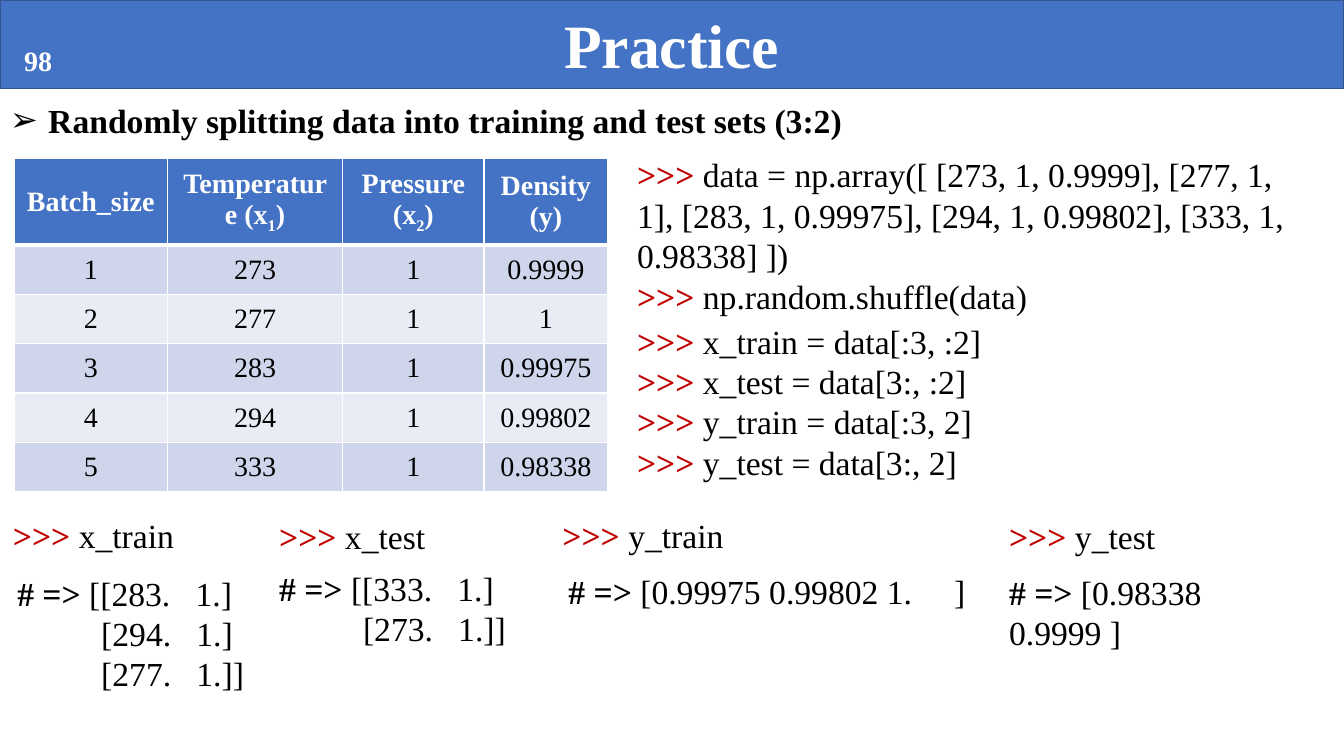
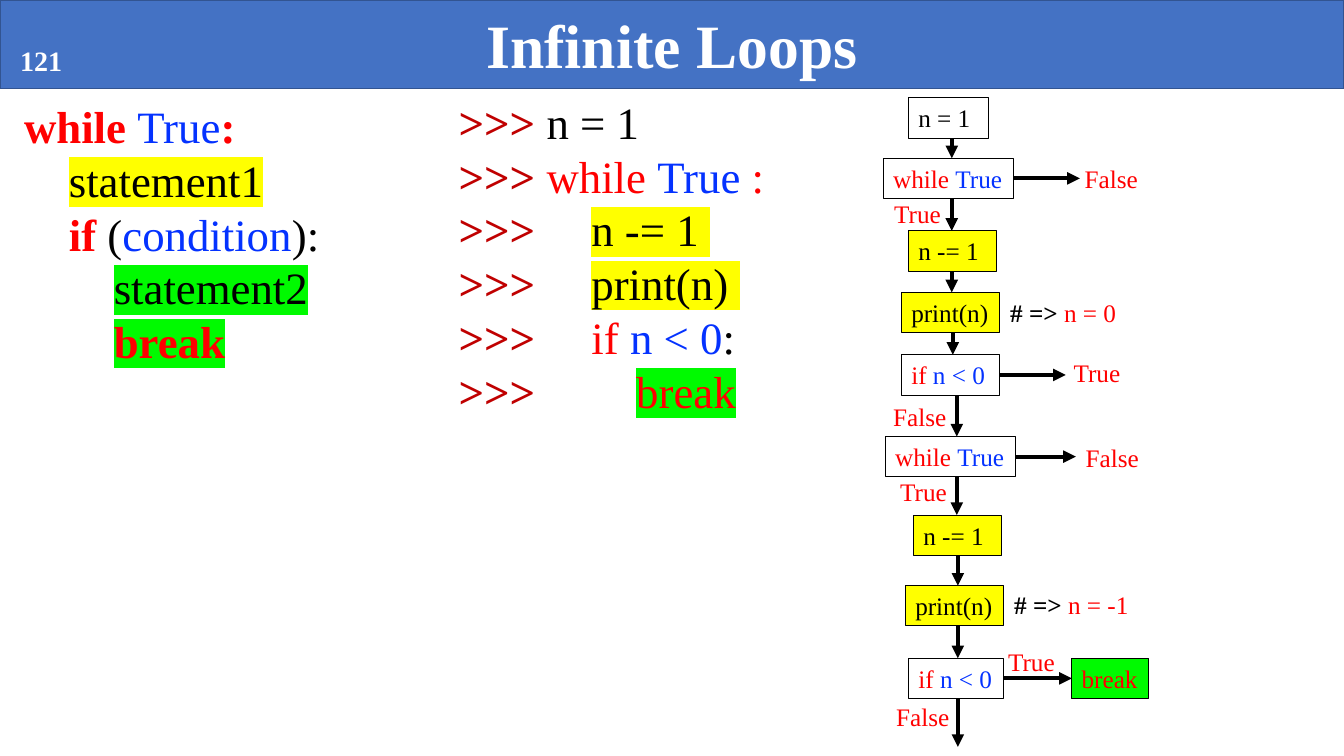
from collections import namedtuple

from lxml.etree import SubElement
from pptx import Presentation
from pptx.dml.color import RGBColor
from pptx.enum.shapes import MSO_CONNECTOR, MSO_SHAPE
from pptx.enum.text import MSO_ANCHOR, MSO_AUTO_SIZE, PP_ALIGN
from pptx.oxml.ns import qn
from pptx.util import Inches, Pt

FONT = "Times New Roman"
WHITE = RGBColor(0xFF, 0xFF, 0xFF)
BLACK = RGBColor(0x00, 0x00, 0x00)
BAND_BLUE = RGBColor(0x44, 0x72, 0xC4)
BAND_EDGE = RGBColor(0x32, 0x54, 0x91)
ROW_DARK = RGBColor(0xCF, 0xD5, 0xEA)
ROW_LIGHT = RGBColor(0xE9, 0xEB, 0xF5)
DARK_RED = RGBColor(0xC0, 0x00, 0x00)
RED = RGBColor(0xFF, 0x00, 0x00)
BLUE = RGBColor(0x04, 0x32, 0xFF)
YELLOW = RGBColor(0xFF, 0xFF, 0x00)
GREEN = RGBColor(0x00, 0xFA, 0x00)

Style = namedtuple("Style", "colour bold highlight baseline", defaults=(False, None, 0))
HEADING = Style(WHITE, True)
SUBSCRIPT = Style(WHITE, True, None, -25000)
PROMPT = Style(DARK_RED, True)
CODE = Style(BLACK)
STRONG = Style(BLACK, True)
KEYWORD = Style(RED)
STRONG_KEYWORD = Style(RED, True)
VALUE = Style(BLUE)
ON_YELLOW = Style(BLACK, False, YELLOW)
ON_GREEN = Style(BLACK, False, GREEN)


def write_lines(frame, lines, size, align=PP_ALIGN.LEFT):
    for index, spans in enumerate(lines):
        para = frame.paragraphs[0] if index == 0 else frame.add_paragraph()
        para.alignment = align
        for text, style in spans:
            span = para.add_run()
            span.text = text
            span.font.size = Pt(size)
            span.font.bold = style.bold
            span.font.color.rgb = style.colour
            properties = span._r.get_or_add_rPr()
            if style.baseline:
                properties.set("baseline", str(style.baseline))
            if style.highlight is not None:
                highlight = SubElement(properties, qn("a:highlight"))
                SubElement(highlight, qn("a:srgbClr")).set("val", str(style.highlight))
            span.font.name = FONT


def add_text(page, left, top, width, height, lines, size, wrap=False):
    box = page.shapes.add_textbox(Inches(left), Inches(top), Inches(width), Inches(height))
    box.text_frame.word_wrap = wrap
    write_lines(box.text_frame, lines, size)
    return box


deck = Presentation()
deck.slide_width = Inches(13.33)
deck.slide_height = Inches(7.5)

pages = []
for title, number, number_left, number_width in [
    ("Practice", "98", 0.14, 0.48),
    ("Infinite Loops", "121", 0.1, 0.62),
]:
    page = deck.slides.add_slide(deck.slide_layouts[5])
    band = page.shapes.title
    band.left, band.top = Inches(0), Inches(0)
    band.width, band.height = deck.slide_width, Inches(0.88)
    band.fill.solid()
    band.fill.fore_color.rgb = BAND_BLUE
    band.line.color.rgb = BAND_EDGE
    band.line.width = Pt(1)
    band.text_frame.auto_size = MSO_AUTO_SIZE.NONE
    band.text_frame.vertical_anchor = MSO_ANCHOR.MIDDLE
    write_lines(band.text_frame, [[(title, HEADING)]], 44, PP_ALIGN.CENTER)
    add_text(page, number_left, 0.38, number_width, 0.44, [[(number, HEADING)]], 20)
    pages.append(page)
practice, loops = pages

subject = add_text(practice, 0, 0.94, 8.69, 0.5, [], 24, True)
bullet_properties = subject.text_frame.paragraphs[0]._p.get_or_add_pPr()
bullet_properties.set("marL", str(Inches(0.38)))
bullet_properties.set("indent", str(Inches(-0.38)))
SubElement(bullet_properties, qn("a:buFont")).set("typeface", "Arial")
SubElement(bullet_properties, qn("a:buChar")).set("char", "➢")
write_lines(
    subject.text_frame,
    [[("Randomly splitting data into training and test sets (3:2)", STRONG)]],
    24,
)

header = [
    [[("Batch_size", HEADING)]],
    [[("Temperature (x", HEADING), ("1", SUBSCRIPT), (")", HEADING)]],
    [[("Pressure", HEADING)], [("(x", HEADING), ("2", SUBSCRIPT), (")", HEADING)]],
    [[("Density", HEADING)], [("(y)", HEADING)]],
]
samples = [
    ("1", "273", "1", "0.9999"),
    ("2", "277", "1", "1"),
    ("3", "283", "1", "0.99975"),
    ("4", "294", "1", "0.99802"),
    ("5", "333", "1", "0.98338"),
]
rows = [header] + [[[[(value, CODE)]] for value in sample] for sample in samples]
column_widths = [1.52, 1.74, 1.4, 1.23]
table = practice.shapes.add_table(
    len(rows), len(column_widths), Inches(0.14), Inches(1.57), Inches(5.89), Inches(3.31)
).table
for column, width in zip(table.columns, column_widths):
    column.width = Inches(width)
for row_index, row in enumerate(rows):
    table.rows[row_index].height = Inches(0.49 if row_index else 0.86)
    for column_index, lines in enumerate(row):
        cell = table.cell(row_index, column_index)
        cell.vertical_anchor = MSO_ANCHOR.MIDDLE
        write_lines(cell.text_frame, lines, 20, PP_ALIGN.CENTER)
        thick_side = {0: "a:lnB", 1: "a:lnT"}.get(row_index)
        for side in ("a:lnL", "a:lnR", "a:lnT", "a:lnB"):
            border = SubElement(cell._tc.get_or_add_tcPr(), qn(side))
            border.set("w", str(Pt(3 if side == thick_side else 1)))
            border_fill = SubElement(border, qn("a:solidFill"))
            SubElement(border_fill, qn("a:srgbClr")).set("val", str(WHITE))
        cell.fill.solid()
        if row_index == 0:
            cell.fill.fore_color.rgb = BAND_BLUE
        else:
            cell.fill.fore_color.rgb = ROW_DARK if row_index % 2 else ROW_LIGHT

data_code = (
    "data = np.array([ [273, 1, 0.9999], [277, 1, 1], [283, 1, 0.99975], "
    "[294, 1, 0.99802], [333, 1, 0.98338] ])"
)
split_code = [
    "x_train = data[:3, :2]",
    "x_test = data[3:, :2]",
    "y_train = data[:3, 2]",
    "y_test = data[3:, 2]",
]
for left, top, width, height, wrap, commands in [
    (6.22, 1.48, 6.67, 1.31, True, [data_code]),
    (6.22, 2.69, 4.1, 0.5, False, ["np.random.shuffle(data)"]),
    (6.22, 3.13, 6.97, 1.72, True, split_code),
    (0.03, 5.06, 1.9, 0.5, False, ["x_train"]),
    (2.67, 5.07, 1.75, 0.5, False, ["x_test"]),
    (5.48, 5.06, 1.9, 0.5, False, ["y_train"]),
    (9.91, 5.07, 1.75, 0.5, False, ["y_test"]),
]:
    lines = [[(">>> ", PROMPT), (command, CODE)] for command in commands]
    add_text(practice, left, top, width, height, lines, 24, wrap)

for left, top, width, height, wrap, marker, results in [
    (-0.01, 5.63, 2.66, 1.31, True, " # => ",
     ["[[283.   1.]", "           [294.   1.]", "           [277.   1.]]"]),
    (2.67, 5.58, 2.87, 0.91, True, "# => ", ["[[333.   1.]", "          [273.   1.]]"]),
    (5.54, 5.61, 4.17, 0.5, False, "# => ", ["[0.99975 0.99802 1.     ]"]),
    (9.91, 5.62, 3.26, 0.5, True, "# => ", ["[0.98338 0.9999 ]"]),
]:
    lines = [[(result, CODE)] for result in results]
    lines[0].insert(0, (marker, STRONG))
    add_text(practice, left, top, width, height, lines, 24, wrap)

syntax = [
    [("while ", STRONG_KEYWORD), ("True", VALUE), (":", STRONG_KEYWORD)],
    [("    ", CODE), ("statement1", ON_YELLOW)],
    [("    ", CODE), ("if", STRONG_KEYWORD), (" (", CODE), ("condition", VALUE), ("):", CODE)],
    [("        ", CODE), ("statement2", ON_GREEN)],
    [("        ", CODE), ("break", Style(RED, True, GREEN))],
]
session = [
    [(">>> ", PROMPT), ("n = 1", CODE)],
    [(">>> ", PROMPT), ("while ", KEYWORD), ("True ", VALUE), (":", KEYWORD)],
    [(">>>     ", PROMPT), ("n -= 1 ", ON_YELLOW)],
    [(">>>     ", PROMPT), ("print(n) ", ON_YELLOW)],
    [(">>>     ", PROMPT), ("if ", KEYWORD), ("n < 0", VALUE), (":", CODE)],
    [(">>>         ", PROMPT), ("break", Style(RED, False, GREEN))],
]
add_text(loops, 0.14, 0.93, 4.16, 2.79, syntax, 32, True)
add_text(loops, 4.45, 0.89, 4.72, 3.33, session, 32, True)

STEP_HEIGHT = 0.4
start = [("n = 1 ", CODE)]
loop_test = [("while ", KEYWORD), ("True", VALUE)]
decrement = [("n -= 1 ", CODE)]
output = [("print(n)", CODE)]
break_test = [("if ", KEYWORD), ("n < 0", VALUE)]
steps = [
    (9.01, 0.97, 0.79, start, None, 9.44, None),
    (8.76, 1.57, 1.29, loop_test, None, 9.44, 10.71),
    (9.01, 2.29, 0.87, decrement, YELLOW, 9.44, None),
    (8.94, 2.9, 0.97, output, YELLOW, 9.45, None),
    (8.94, 3.52, 0.97, break_test, None, 9.49, 10.57),
    (8.78, 4.33, 1.29, loop_test, None, 9.49, 10.67),
    (9.06, 5.11, 0.87, decrement, YELLOW, 9.5, None),
    (8.98, 5.81, 0.97, output, YELLOW, 9.5, None),
    (9.01, 6.53, 0.94, break_test, None, 9.5, 10.63),
    (10.63, 6.53, 0.76, [("break", KEYWORD)], GREEN, None, None),
]
flow_ends = [step[1] for step in steps[1:-1]] + [7.41, None]
arrows = []
for (left, top, width, spans, fill, axis, exit_end), flow_end in zip(steps, flow_ends):
    step = loops.shapes.add_shape(
        MSO_SHAPE.RECTANGLE, Inches(left), Inches(top), Inches(width), Inches(STEP_HEIGHT)
    )
    step.shadow.inherit = False
    if fill is None:
        step.fill.background()
    else:
        step.fill.solid()
        step.fill.fore_color.rgb = fill
    step.line.color.rgb = BLACK
    step.line.width = Pt(0.75)
    step.text_frame.word_wrap = False
    step.text_frame.vertical_anchor = MSO_ANCHOR.TOP
    write_lines(step.text_frame, [spans], 18)
    if axis is not None:
        arrows.append((axis, top + STEP_HEIGHT, axis, flow_end))
    if exit_end is not None:
        middle = top + STEP_HEIGHT / 2
        arrows.append((left + width, middle, exit_end, middle))

for begin_x, begin_y, end_x, end_y in arrows:
    arrow = loops.shapes.add_connector(
        MSO_CONNECTOR.STRAIGHT, Inches(begin_x), Inches(begin_y), Inches(end_x), Inches(end_y)
    )
    arrow.line.color.rgb = BLACK
    arrow.line.width = Pt(3)
    SubElement(arrow.line._get_or_add_ln(), qn("a:tailEnd")).set("type", "triangle")
    SubElement(arrow._element.spPr, qn("a:effectLst"))

for left, top, answer in [
    (10.66, 1.57, "False"),
    (8.77, 1.92, "True"),
    (10.55, 3.5, "True"),
    (8.76, 3.93, "False"),
    (10.67, 4.34, "False"),
    (8.83, 4.68, "True"),
    (9.9, 6.36, "True"),
    (8.79, 6.91, "False"),
]:
    width = 0.67 if answer == "True" else 0.73
    add_text(loops, left, top, width, STEP_HEIGHT, [[(answer, KEYWORD)]], 18)

for left, top, result in [(9.92, 2.9, "n = 0"), (9.96, 5.8, "n = -1")]:
    lines = [[("# => ", STRONG), (result, KEYWORD)]]
    add_text(loops, left, top, 1.35, STEP_HEIGHT, lines, 18, True)

deck.save("out.pptx")
